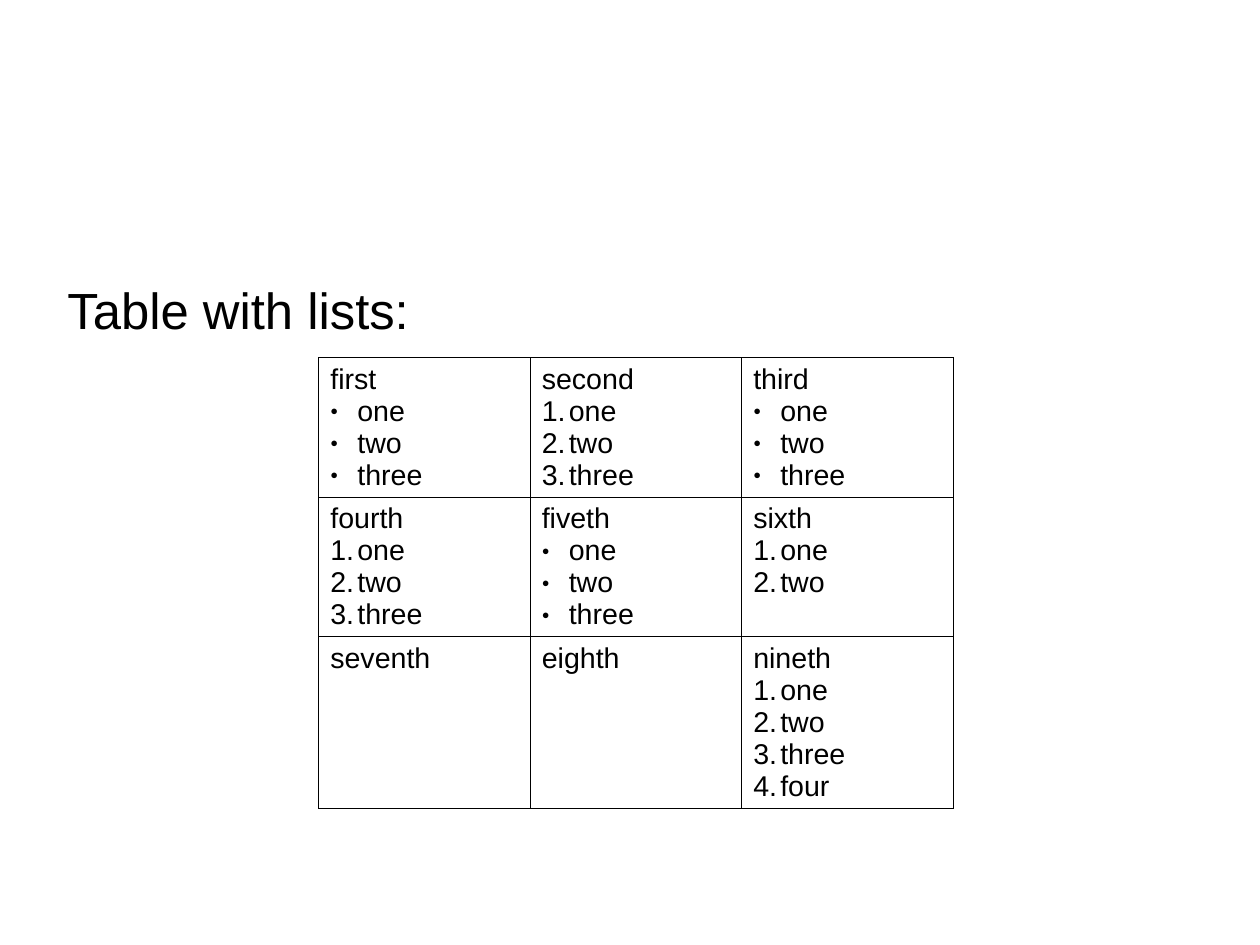
from lxml import etree
from pptx import Presentation
from pptx.dml.color import RGBColor
from pptx.enum.text import MSO_ANCHOR, MSO_AUTO_SIZE, PP_ALIGN
from pptx.oxml.ns import qn
from pptx.util import Inches, Pt

TOP = MSO_ANCHOR.TOP
NO_FIT = MSO_AUTO_SIZE.NONE
LEFT = PP_ALIGN.LEFT
TITLE_ONLY = 5

FONT = "Arial"
COLORS = {"text": "000000", "border": "000000"}
CM_PER_INCH = 2.54
SLIDE_WIDTH = Inches(28 / CM_PER_INCH)
SLIDE_HEIGHT = Inches(21 / CM_PER_INCH)
COLUMN_WIDTH = Inches(1.85)
ROW_HEIGHT = Inches(0.37)
LIST_INDENT = Inches(0.6 / CM_PER_INCH)
BORDER_WIDTH = Pt(0.75)

THREE = ["one", "two", "three"]
LISTS = [
    [("first", "bullet", THREE), ("second", "number", THREE), ("third", "bullet", THREE)],
    [("fourth", "number", THREE), ("fiveth", "bullet", THREE), ("sixth", "number", THREE[:2])],
    [("seventh", None, []), ("eighth", None, []), ("nineth", "number", THREE + ["four"])],
]


def format_paragraph(paragraph, size):
    """Set the font, size, colour and alignment of a paragraph."""
    paragraph.alignment = LEFT
    for run in paragraph.runs:
        run.font.name = FONT
        run.font.size = Pt(size)
        run.font.color.rgb = RGBColor.from_string(COLORS["text"])


def add_marker(paragraph, marker):
    """Give a paragraph a hanging bullet or number."""
    properties = paragraph._p.get_or_add_pPr()
    properties.set("marL", str(LIST_INDENT))
    properties.set("indent", str(-LIST_INDENT))
    if marker == "bullet":
        etree.SubElement(properties, qn("a:buSzPct"), val="45000")
        etree.SubElement(properties, qn("a:buFont"), typeface=FONT)
        etree.SubElement(properties, qn("a:buChar"), char="●")
    else:
        etree.SubElement(properties, qn("a:buFont"), typeface=FONT)
        etree.SubElement(properties, qn("a:buAutoNum"), type="arabicPeriod")


def add_borders(cell):
    """Draw a thin line on all four sides of a cell."""
    properties = cell._tc.get_or_add_tcPr()
    for position, side in enumerate(("a:lnL", "a:lnR", "a:lnT", "a:lnB")):
        border = etree.Element(qn(side), w=str(BORDER_WIDTH))
        fill = etree.SubElement(border, qn("a:solidFill"))
        etree.SubElement(fill, qn("a:srgbClr"), val=COLORS["border"])
        properties.insert(position, border)


def fill_cell(cell, heading, marker, items):
    """Write a heading and its list into a cell."""
    cell.fill.background()
    add_borders(cell)
    cell.vertical_anchor = TOP
    cell.text_frame.text = "\n".join([heading, *items])
    for paragraph in cell.text_frame.paragraphs:
        format_paragraph(paragraph, 18)
    for paragraph in cell.text_frame.paragraphs[1:]:
        add_marker(paragraph, marker)


def add_title(slide, text):
    """Place the slide title above the table."""
    title = slide.shapes.title
    title.left, title.top = Inches(0.59), Inches(2.44)
    title.width, title.height = Inches(9.65), Inches(4.79)
    frame = title.text_frame
    frame.text = text
    frame.margin_left = frame.margin_right = frame.margin_top = frame.margin_bottom = Inches(0)
    frame.vertical_anchor = TOP
    frame.auto_size = NO_FIT
    format_paragraph(frame.paragraphs[0], 32)


def add_list_table(slide, lists):
    """Add the grid of cells that hold the lists."""
    rows, columns = len(lists), len(lists[0])
    table = slide.shapes.add_table(
        rows, columns, Inches(2.79), Inches(3.13), COLUMN_WIDTH * columns, ROW_HEIGHT * rows
    ).table
    table.first_row = False
    table.horz_banding = False
    for row_index, row in enumerate(lists):
        for column_index, content in enumerate(row):
            fill_cell(table.cell(row_index, column_index), *content)


def main():
    """Build the slide and save it."""
    presentation = Presentation()
    presentation.slide_width = SLIDE_WIDTH
    presentation.slide_height = SLIDE_HEIGHT
    slide = presentation.slides.add_slide(presentation.slide_layouts[TITLE_ONLY])
    add_title(slide, "Table with lists:")
    add_list_table(slide, LISTS)
    presentation.save("out.pptx")


if __name__ == "__main__":
    main()
